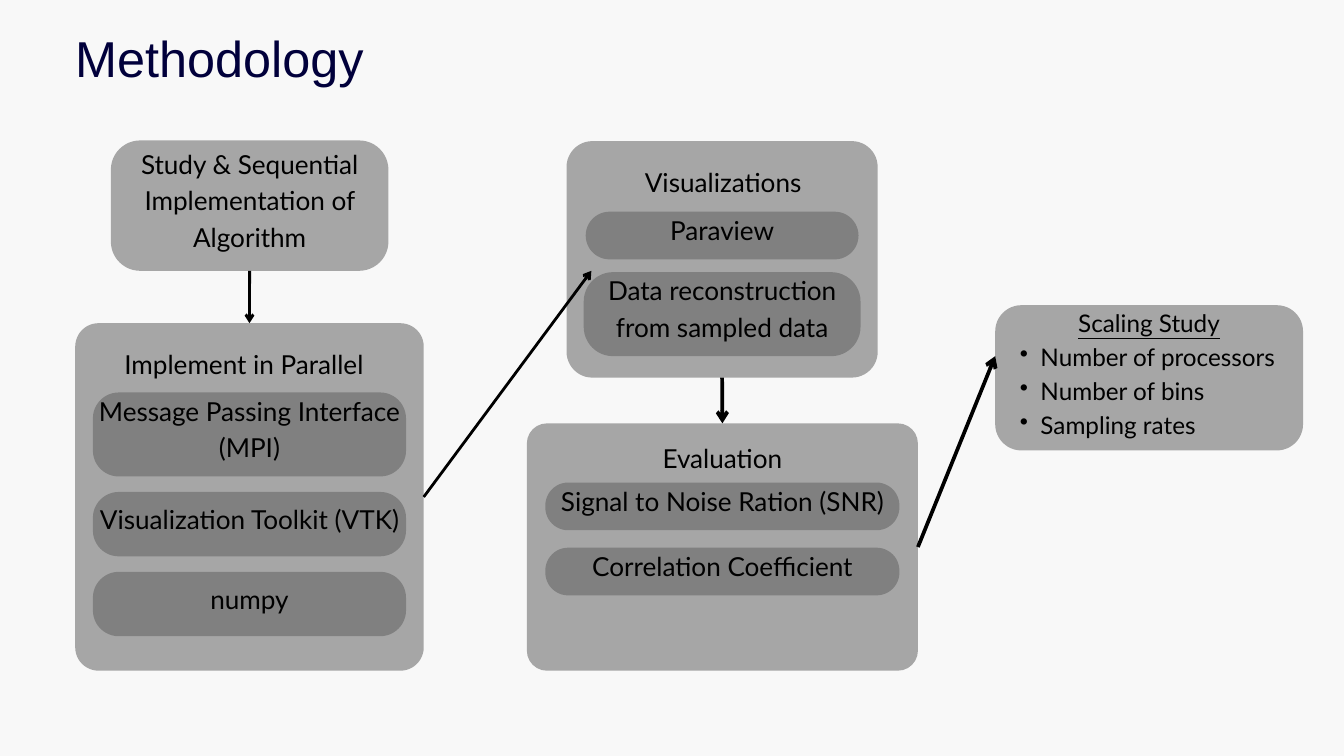
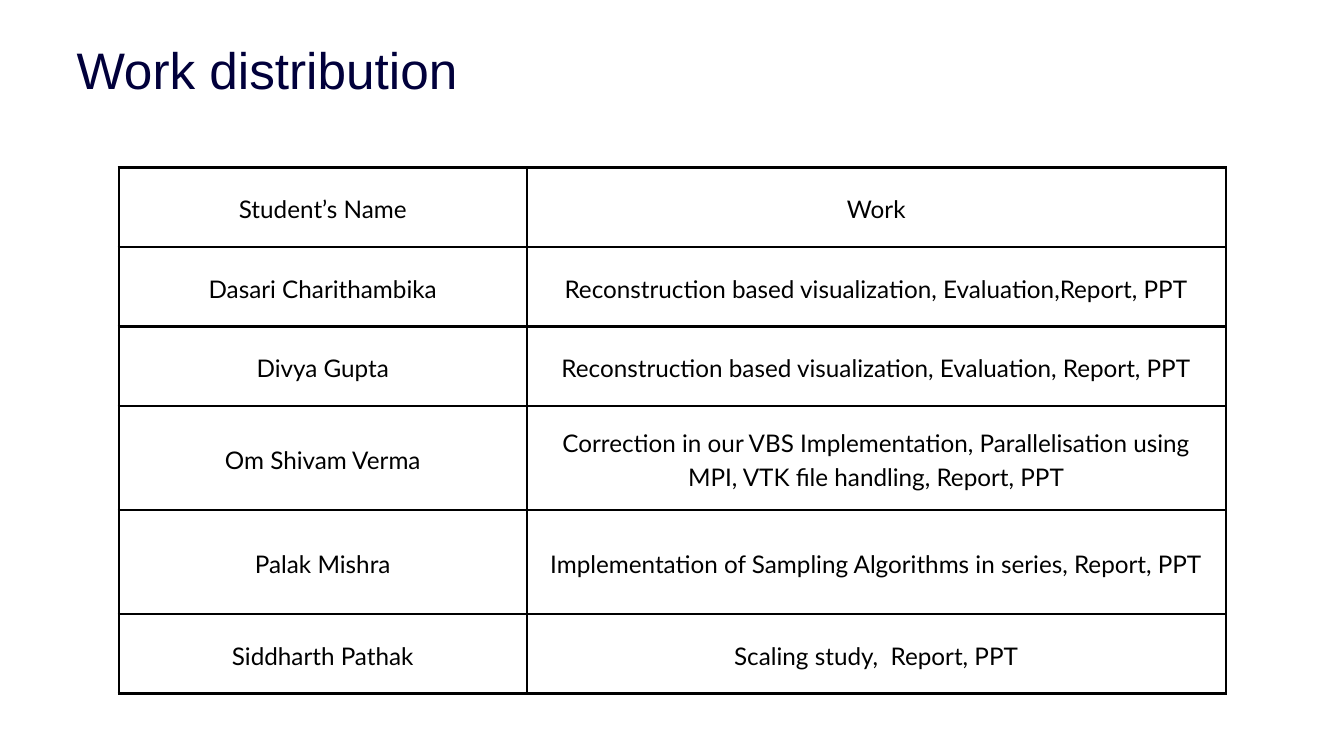
from dataclasses import dataclass

from lxml.etree import SubElement
from pptx import Presentation
from pptx.dml.color import RGBColor
from pptx.enum.shapes import MSO_CONNECTOR, MSO_SHAPE
from pptx.enum.text import MSO_ANCHOR, PP_ALIGN
from pptx.oxml.ns import qn
from pptx.util import Pt


@dataclass(frozen=True)
class Theme:
    navy: str = "01003B"
    black: str = "000000"
    light: str = "F8F8F8"
    white: str = "FFFFFF"
    panel: str = "A6A6A6"
    pill: str = "808080"
    head: str = "Arial"
    body: str = "Lato"
    large: float = 28
    small: float = 26
    leading: float = 1.4
    inset: float = 4.5


THEME = Theme()
TOP, BOTTOM, RIGHT = 0, 2, 3


def color(code):
    return RGBColor.from_string(code)


def write(frame, lines, size=THEME.large, font=THEME.body, ink=THEME.black,
          align=PP_ALIGN.CENTER, leading=THEME.leading, under=False,
          bullet=False):
    for line in lines:
        para = frame.paragraphs[-1]
        if para.runs:
            para = frame.add_paragraph()
        if bullet:
            props = para._p.get_or_add_pPr()
            props.set("marL", str(Pt(44)))
            props.set("indent", str(Pt(-22)))
            SubElement(props, qn("a:buChar")).set("char", "•")
        para.alignment = align
        para.line_spacing = Pt(round(size * leading, 1))
        run = para.add_run()
        run.text = line
        run.font.size = Pt(size)
        run.font.name = font
        run.font.color.rgb = color(ink)
        run.font.underline = under


def add_text(slide, lines, left, top, width, height, inset=0,
             anchor=MSO_ANCHOR.TOP, **style):
    box = slide.shapes.add_textbox(Pt(left), Pt(top), Pt(width), Pt(height))
    frame = box.text_frame
    frame.word_wrap = True
    frame.vertical_anchor = anchor
    frame.margin_left = frame.margin_right = Pt(inset)
    frame.margin_top = frame.margin_bottom = Pt(inset)
    write(frame, lines, **style)
    return frame


def add_title(slide, text, left, top, size):
    add_text(slide, [text], left, top, 900, size * 1.2, size=size,
             font=THEME.head, ink=THEME.navy, align=PP_ALIGN.LEFT,
             leading=1.2)


def add_round(slide, left, top, width, height, radius, fill):
    shape = slide.shapes.add_shape(MSO_SHAPE.ROUNDED_RECTANGLE, Pt(left),
                                   Pt(top), Pt(width), Pt(height))
    shape.adjustments[0] = min(0.5, radius / min(width, height))
    shape.shadow.inherit = False
    shape.fill.solid()
    shape.fill.fore_color.rgb = color(fill)
    shape.line.fill.background()
    return shape


def add_card(slide, lines, left, top, width, height, radius, fill,
             lift=17.3, **style):
    shape = add_round(slide, left, top, width, height, radius, fill)
    frame = add_text(slide, lines, left, top - lift, width, height + lift,
                     inset=THEME.inset, anchor=MSO_ANCHOR.MIDDLE, **style)
    return shape, frame


def add_panel(slide, label, place, box, radius, start, gap, pills):
    left, top, width, height = box
    panel = add_round(slide, *box, radius, THEME.panel)
    add_text(slide, [label], *place, 292.3, 36.7)
    for lines, wide, high, curve in pills:
        add_card(slide, lines, left + (width - wide) / 2, start, wide, high,
                 curve, THEME.pill)
        start += high + gap
    return panel


def add_arrow(slide, source, side, target=None, point=(0, 0), weight=3):
    x, y = point
    arrow = slide.shapes.add_connector(MSO_CONNECTOR.STRAIGHT, Pt(x), Pt(y),
                                       Pt(x), Pt(y))
    arrow.begin_connect(source, side)
    if target is not None:
        arrow.end_connect(target, TOP)
    arrow.line.color.rgb = color(THEME.black)
    arrow.line.width = Pt(weight)
    props = arrow.element.spPr
    SubElement(props.find(qn("a:ln")), qn("a:tailEnd")).set("type", "arrow")
    SubElement(props, qn("a:effectLst"))


def add_border(cell, weight=3):
    props = cell._tc.get_or_add_tcPr()
    for edge in ("a:lnL", "a:lnR", "a:lnT", "a:lnB"):
        line = SubElement(props, qn(edge))
        line.set("w", str(Pt(weight)))
        fill = SubElement(line, qn("a:solidFill"))
        SubElement(fill, qn("a:srgbClr")).set("val", THEME.black)


def add_grid(slide, rows, left, top, widths, heights):
    table = slide.shapes.add_table(len(rows), len(widths), Pt(left), Pt(top),
                                   Pt(sum(widths)), Pt(sum(heights))).table
    table.first_row = table.horz_banding = False
    for col, width in zip(table.columns, widths):
        col.width = Pt(width)
    for row, height, texts in zip(table.rows, heights, rows):
        row.height = Pt(height)
        for cell, text in zip(row.cells, texts):
            add_border(cell)
            cell.fill.background()
            cell.vertical_anchor = MSO_ANCHOR.MIDDLE
            cell.margin_left = cell.margin_right = Pt(15)
            cell.margin_top = cell.margin_bottom = Pt(15)
            write(cell.text_frame, [text], size=THEME.small)


def add_slide(deck, back):
    slide = deck.slides.add_slide(deck.slide_layouts[6])
    slide.background.fill.solid()
    slide.background.fill.fore_color.rgb = color(back)
    return slide


def draw_method(deck):
    slide = add_slide(deck, THEME.light)
    study, _ = add_card(
        slide, ["Study & Sequential", "Implementation of Algorithm"],
        118.8, 150.5, 297.4, 139.7, 31.4, THEME.panel)
    add_title(slide, "Methodology", 80.6, 29.5, 54)
    build = add_panel(
        slide, "Implement in Parallel", (115.2, 367.2),
        (80.6, 346.3, 373.4, 372.3), 25, 420.5, 16.6,
        [(["Message Passing Interface (MPI)"], 335.5, 90, 27.7),
         (["Visualization Toolkit (VTK)"], 335.5, 69, 27.7),
         (["numpy"], 335.5, 69, 27.7)])
    views = add_panel(
        slide, "Visualizations", (628.6, 172.8),
        (607, 151.2, 333.4, 253.4), 27.7, 226.8, 13.7,
        [(["Paraview"], 292.3, 51.1, 25.6),
         (["Data reconstruction", "from sampled data"], 296.6, 90, 31.4)])
    _, scale = add_card(
        slide, ["Scaling Study"], 1066.3, 327, 329.8, 155.6, 28, THEME.panel,
        lift=14.5, size=THEME.small, under=True)
    write(scale, ["Number of processors", "Number of bins", "Sampling rates"],
          size=THEME.small, align=PP_ALIGN.LEFT, bullet=True)
    add_arrow(slide, study, BOTTOM, build)
    add_arrow(slide, build, RIGHT, point=(633.6, 290.2))
    rate = add_panel(
        slide, "Evaluation", (627.8, 468),
        (564.5, 453.6, 419, 265), 21.5, 517, 18.7,
        [(["Signal to Noise Ration (SNR)"], 379.4, 51.1, 24.5),
         (["Correlation Coefficient"], 379.4, 51.1, 24.5)])
    add_arrow(slide, views, BOTTOM, rate, weight=4)
    add_arrow(slide, rate, RIGHT, point=(1066.3, 381.6), weight=4)


def draw_work(deck):
    slide = add_slide(deck, THEME.white)
    rows = [
        ("Student’s Name", "Work"),
        ("Dasari Charithambika",
         "Reconstruction based visualization, Evaluation,Report, PPT"),
        ("Divya Gupta",
         "Reconstruction based visualization, Evaluation, Report, PPT"),
        ("Om Shivam Verma",
         "Correction in our VBS Implementation, Parallelisation using MPI, "
         "VTK file handling, Report, PPT"),
        ("Palak Mishra",
         "Implementation of Sampling Algorithms in series, Report, PPT"),
        ("Siddharth Pathak", "Scaling study,  Report, PPT"),
    ]
    short, tall = 85.2, 111.5
    add_grid(slide, rows, 127.4, 179.3, (437, 749),
             (short, short, short, tall, tall, short))
    add_title(slide, "Work distribution", 82, 41, 55)


def main():
    deck = Presentation()
    deck.slide_width, deck.slide_height = Pt(1440), Pt(810)
    draw_method(deck)
    draw_work(deck)
    deck.save("out.pptx")


if __name__ == "__main__":
    main()
